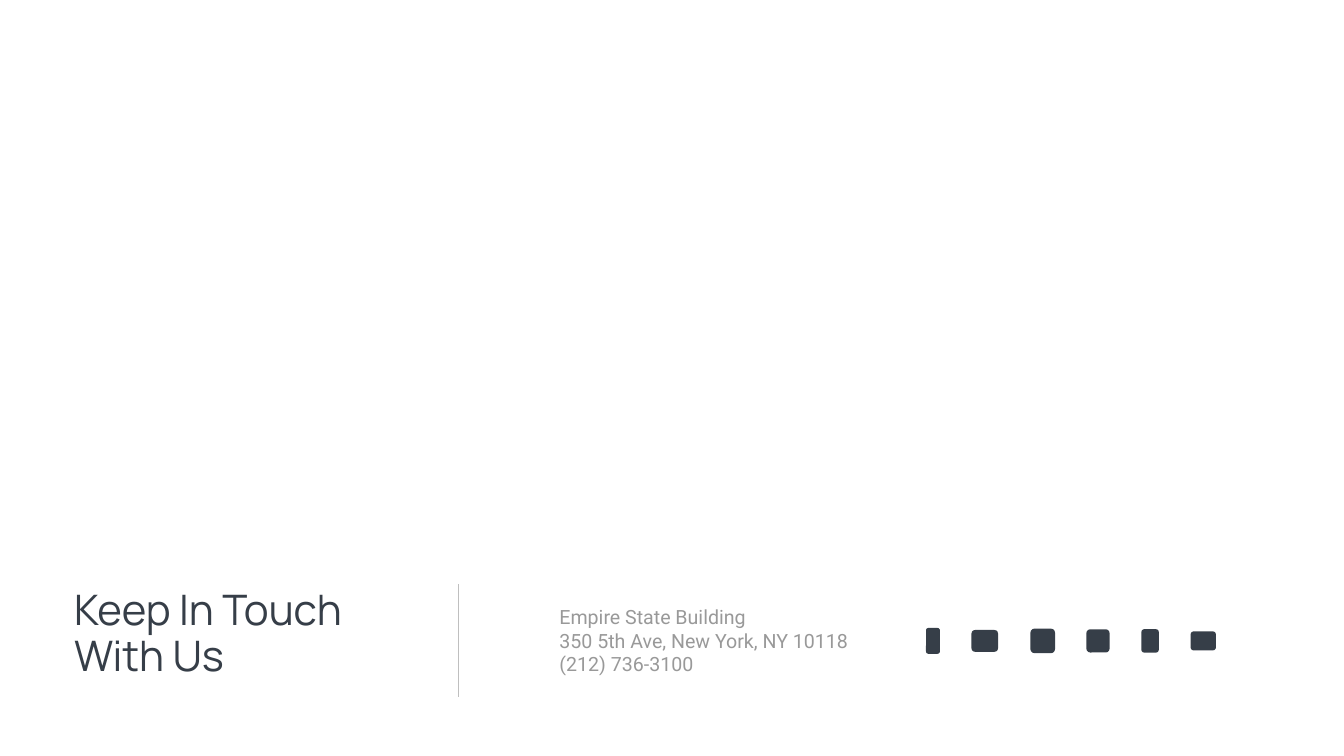
from lxml.etree import SubElement
from pptx import Presentation
from pptx.dml.color import RGBColor
from pptx.enum.shapes import MSO_CONNECTOR as Connector, MSO_SHAPE as Shape
from pptx.enum.text import MSO_ANCHOR as Anchor, MSO_AUTO_SIZE as AutoSize, PP_ALIGN as Align
from pptx.oxml.ns import qn
from pptx.util import Cm, Pt

ICON_MIDDLE = 32.3
ICON_SIZES = [  # left, width, height
    (46.66, 0.7, 1.3),
    (48.95, 1.34, 1.1),
    (51.92, 1.24, 1.24),
    (54.74, 1.17, 1.17),
    (57.51, 0.88, 1.18),
    (59.99, 1.28, 0.96),
]


def color(value):
    return RGBColor.from_string(value)


class ContactPage:
    DARK, GRAY, RULE = "363E48", "999999", "BFBFBF"
    HEADING_FONT, TEXT_FONT = "Manrope", "Roboto"

    def __init__(self, deck):
        self.page = deck.slides.add_slide(deck.slide_layouts[5])
        self.shapes = self.page.shapes

    def set_text(self, box, text, font, size, hue, spacing=1.0):
        frame = box.text_frame
        frame.text = text
        frame.auto_size = AutoSize.NONE
        frame.vertical_anchor = Anchor.TOP
        for para in frame.paragraphs:
            para.alignment = Align.LEFT
            para.line_spacing = spacing
            for span in para.runs:
                span.font.name = font
                span.font.size = Pt(size)
                span.font.color.rgb = color(hue)

    def title(self, text, left, top, width, height):
        box = self.shapes.title
        box.left, box.top = Cm(left), Cm(top)
        box.width, box.height = Cm(width), Cm(height)
        self.set_text(box, text, self.HEADING_FONT, 60, self.DARK, 0.9)

    def address(self, lines, left, top, width, height):
        box = self.shapes.add_textbox(Cm(left), Cm(top), Cm(width), Cm(height))
        self.set_text(box, "\n".join(lines), self.TEXT_FONT, 28, self.GRAY)
        box.text_frame.word_wrap = False

    def divider(self, x, top, bottom):
        line = self.shapes.add_connector(
            Connector.STRAIGHT, Cm(x), Cm(top), Cm(x), Cm(bottom))
        line.line.color.rgb = color(self.RULE)
        line.line.width = Pt(0.5)
        SubElement(line._element.spPr, qn("a:effectLst"))

    def icon(self, left, width, height):
        """Add a plain marker centred on the icon row."""
        marker = self.shapes.add_shape(
            Shape.ROUNDED_RECTANGLE, Cm(left), Cm(ICON_MIDDLE - height / 2),
            Cm(width), Cm(height))
        marker.shadow.inherit = False
        marker.fill.solid()
        marker.fill.fore_color.rgb = color(self.DARK)
        marker.line.fill.background()


def main():
    deck = Presentation()
    deck.slide_width, deck.slide_height = Cm(67.72), Cm(38.1)
    contact = ContactPage(deck)
    for left, width, height in ICON_SIZES:
        contact.icon(left, width, height)
    contact.address(
        ["Empire State Building", "350 5th Ave, New York, NY 10118", "(212) 736-3100"],
        27.94, 30.38, 15.16, 3.84)
    contact.divider(23.09, 29.44, 35.13)
    contact.title("Keep In Touch With Us", 3.48, 29.59, 16.56, 5.38)
    deck.save("out.pptx")


if __name__ == "__main__":
    main()
